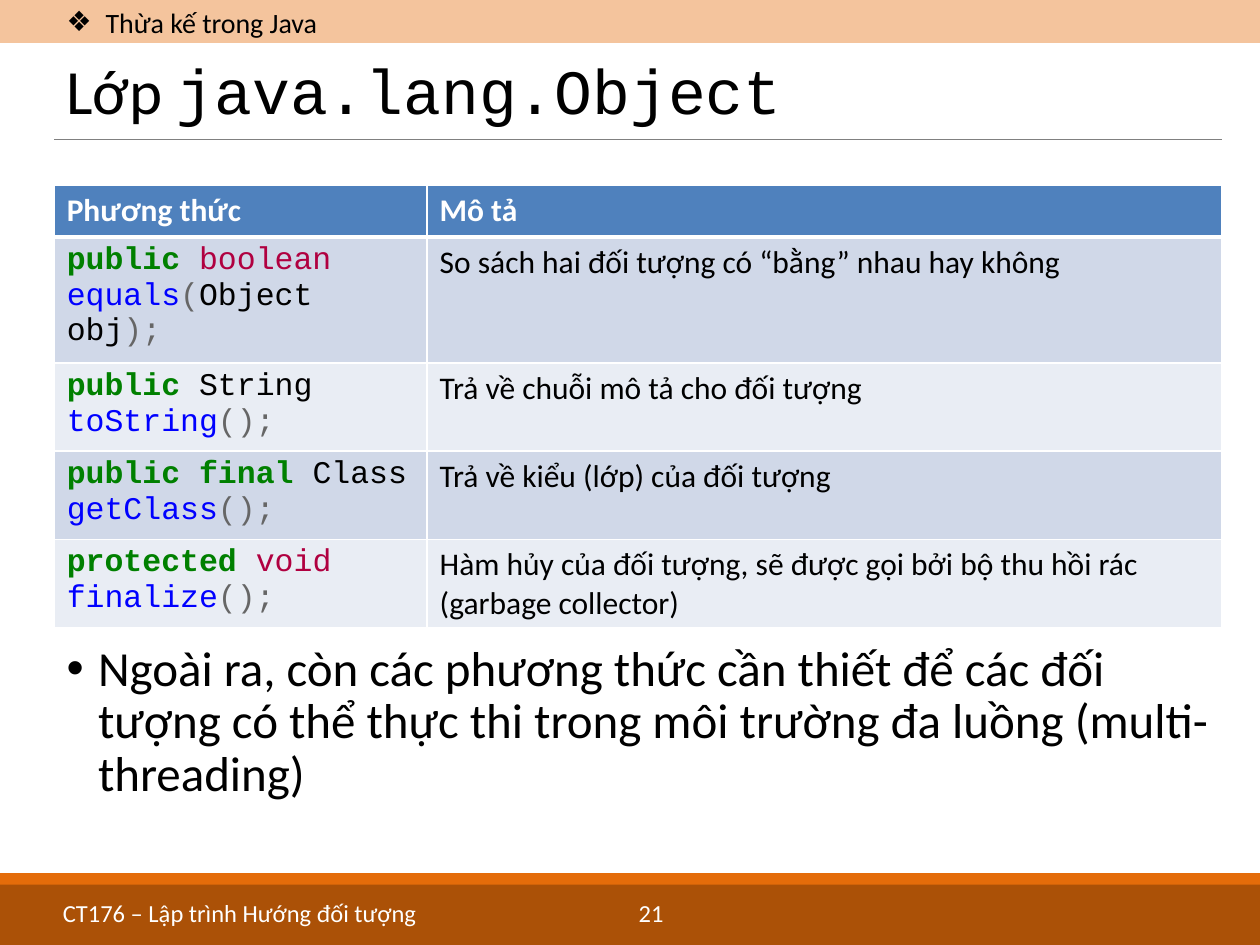
from lxml import etree
from pptx import Presentation
from pptx.dml.color import RGBColor
from pptx.enum.shapes import MSO_CONNECTOR, MSO_SHAPE
from pptx.enum.text import MSO_ANCHOR
from pptx.oxml.ns import qn
from pptx.util import Inches, Pt

RECT = MSO_SHAPE.RECTANGLE
STRAIGHT = MSO_CONNECTOR.STRAIGHT
TOP, MIDDLE = MSO_ANCHOR.TOP, MSO_ANCHOR.MIDDLE

COLS, ROWS = 100, 75
LEFT, WIDTH = 4.3, 92.7
SANS, MONO = "Calibri", "Courier New"
BLACK, WHITE, ORANGE, BROWN = "000000", "FFFFFF", "E46C0A", "984807"
HEADER, BANDS = "4F81BD", ("D0D8E8", "E9EDF4")
CODE = {"keyword": "008000", "type": "B00040", "name": "0000FF",
        "mark": "666666", "plain": BLACK}

METHODS = [
    ([("public ", "keyword"), ("boolean ", "type"), ("equals", "name"),
      ("(", "mark"), ("Object obj", "plain"), (");", "mark")],
     "So sách hai đối tượng có “bằng” nhau hay không"),
    ([("public", "keyword"), (" String ", "plain"), ("toString", "name"), ("();", "mark")],
     "Trả về chuỗi mô tả cho đối tượng"),
    ([("public final", "keyword"), (" Class ", "plain"), ("getClass", "name"), ("();", "mark")],
     "Trả về kiểu (lớp) của đối tượng"),
    ([("protected ", "keyword"), ("void ", "type"), ("finalize", "name"), ("();", "mark")],
     "Hàm hủy của đối tượng, sẽ được gọi bởi bộ thu hồi rác (garbage collector)"),
]


def rgb(value):
    """Return the colour for a hex string."""
    return RGBColor.from_string(value)


def add_xml(parent, tag, **attrs):
    """Append a child element with the given attributes."""
    return etree.SubElement(parent, qn(tag), {k: str(v) for k, v in attrs.items()})


class Deck:
    """Hold the style and the current slide on a 100 by 75 grid."""

    def __init__(self):
        """Start a presentation with one blank slide."""
        self.prs = Presentation()
        self.prs.slide_width, self.prs.slide_height = Inches(10), Inches(7.5)
        self.s = self.prs.slides.add_slide(self.prs.slide_layouts[6])

    def x(self, cols):
        """Convert grid columns to a length."""
        return round(self.prs.slide_width * cols / COLS)

    def y(self, rows):
        """Convert grid rows to a length."""
        return round(self.prs.slide_height * rows / ROWS)

    def box(self, left, top, width, height):
        """Convert a grid rectangle to lengths."""
        return self.x(left), self.y(top), self.x(width), self.y(height)

    def run(self, p, text, size, color=BLACK, font=SANS, bold=False):
        """Add a styled run to a paragraph."""
        r = p.add_run()
        r.text = text
        r.font.size, r.font.name, r.font.bold = Pt(size), font, bold
        r.font.color.rgb = rgb(color)

    def band(self, top, height, color, alpha=100):
        """Draw a full-width bar."""
        sp = self.s.shapes.add_shape(RECT, *self.box(0, top, COLS, height))
        sp.shadow.inherit = False
        sp.fill.solid()
        sp.fill.fore_color.rgb = rgb(color)
        sp.line.fill.background()
        if alpha < 100:
            fill = sp.fill._xPr.find(qn("a:solidFill"))
            add_xml(fill[0], "a:alpha", val=alpha * 1000)

    def rule(self, top, color, weight):
        """Draw a horizontal line across the content width."""
        y = self.y(top)
        sp = self.s.shapes.add_connector(STRAIGHT, self.x(LEFT), y, self.x(LEFT + WIDTH), y)
        sp.line.color.rgb, sp.line.width = rgb(color), Pt(weight)
        add_xml(sp._element.spPr, "a:effectLst")

    def text(self, top, height, runs, size, color=BLACK, left=LEFT, anchor=TOP,
             spacing=None, bullet=None, indent=0, tab=None):
        """Add a one-paragraph text box."""
        sp = self.s.shapes.add_textbox(*self.box(left, top, LEFT + WIDTH - left, height))
        tf = sp.text_frame
        tf.word_wrap, tf.vertical_anchor = True, anchor
        p = tf.paragraphs[0]
        p.line_spacing = spacing
        pPr = p._p.get_or_add_pPr()
        if bullet:
            pPr.set("marL", str(self.x(indent)))
            pPr.set("indent", str(-self.x(indent)))
            add_xml(pPr, "a:buFont", typeface="Arial")
            add_xml(pPr, "a:buChar", char=bullet)
        if tab:
            add_xml(add_xml(pPr, "a:tabLst"), "a:tab", pos=self.x(tab), algn="l")
        for text, font in runs:
            self.run(p, text, size, color, font)

    def cell(self, cell, fill, runs, bottom=1):
        """Fill, border and write one table cell."""
        tcPr = cell._tc.get_or_add_tcPr()
        for side, weight in (("L", 1), ("R", 1), ("T", 1), ("B", bottom)):
            ln = add_xml(tcPr, f"a:ln{side}", w=Pt(weight))
            add_xml(add_xml(ln, "a:solidFill"), "a:srgbClr", val=WHITE)
        cell.fill.solid()
        cell.fill.fore_color.rgb = rgb(fill)
        for text, color, font, bold in runs:
            self.run(cell.text_frame.paragraphs[0], text, 18, color, font, bold)

    def table(self, top, widths, row_height, heads, methods):
        """Add the table of methods and their descriptions."""
        n = len(methods) + 1
        frame = self.s.shapes.add_table(
            n, len(widths), *self.box(LEFT, top, sum(widths), row_height * n))
        table = frame.table
        table.horz_banding = False
        for col, width in zip(table.columns, widths):
            col.width = self.x(width)
        for j, head in enumerate(heads):
            self.cell(table.cell(0, j), HEADER, [(head, WHITE, SANS, True)], bottom=3)
        for i, (code, about) in enumerate(methods):
            fill = BANDS[i % 2]
            runs = [(t, CODE[kind], MONO, kind == "keyword") for t, kind in code]
            self.cell(table.cell(i + 1, 0), fill, runs)
            self.cell(table.cell(i + 1, 1), fill, [(about, BLACK, SANS, False)])


def main():
    """Build the slide and save it."""
    deck = Deck()
    deck.band(0, 3.4, ORANGE, 40)
    deck.band(69.3, 5.7, ORANGE)
    deck.band(70.2, 4.8, BROWN, 75)
    deck.rule(11.1, "808080", 0.5)
    deck.text(70.8, 2.8, [("CT176 – Lập trình Hướng đối tượng\t21", SANS)], 14,
              WHITE, left=4, tab=45.7)
    deck.text(4, 7, [("Lớp ", SANS), ("java.lang.Object", MONO)], 36,
              anchor=MIDDLE, spacing=0.9)
    deck.text(50.6, 17.6, [("Ngoài ra, còn các phương thức cần thiết để các đối tượng có thể "
                            "thực thi trong môi trường đa luồng (multi-threading)", SANS)],
              28, spacing=0.9, bullet="•", indent=2.5)
    deck.text(0.2, 3.1, [("Thừa kế trong Java", SANS)], 16, anchor=MIDDLE,
              bullet="❖", indent=3.1)
    deck.table(14.7, (29.6, 63.1), 4.1, ("Phương thức", "Mô tả"), METHODS)
    deck.prs.save("out.pptx")


if __name__ == "__main__":
    main()
